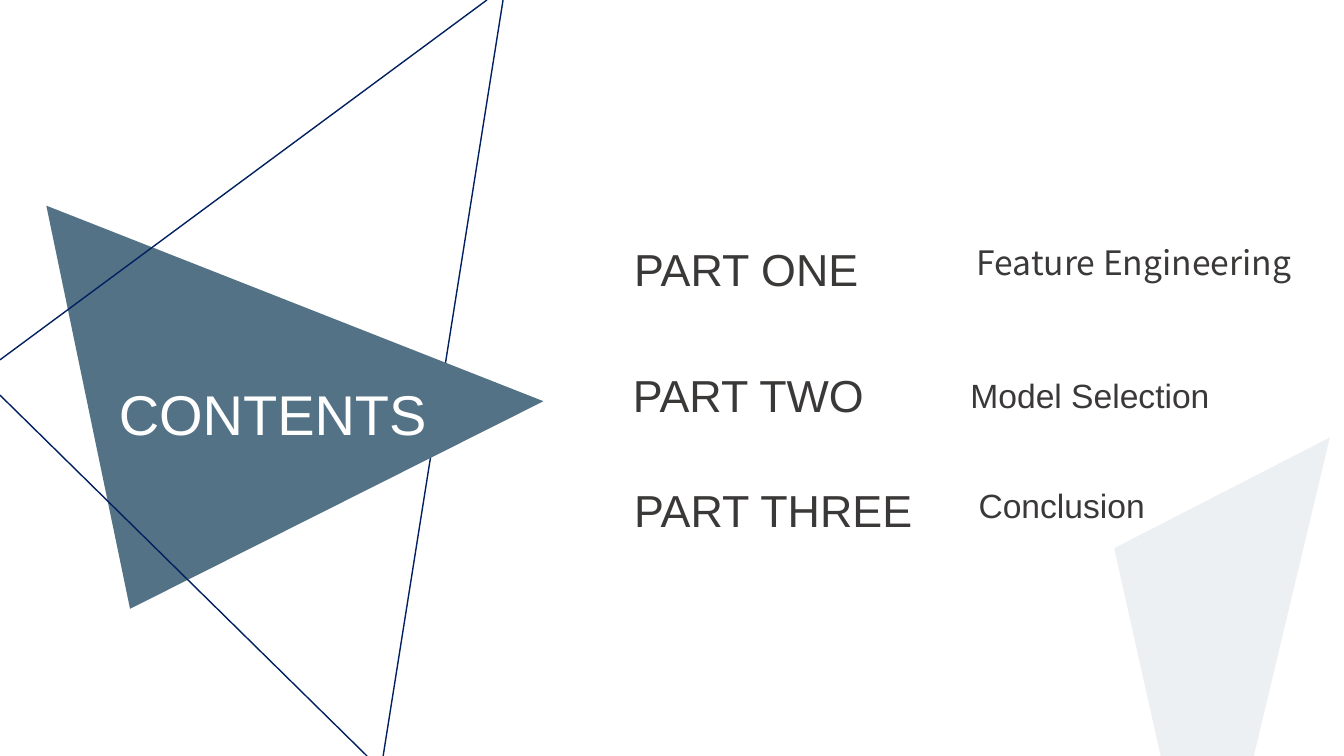
from lxml import etree
from pptx import Presentation, util as u
from pptx.dml.color import RGBColor
from pptx.enum import shapes, text
from pptx.oxml.ns import qn

COLORS = {"navy": "002060", "slate": "537285", "ink": "3B3838", "white": "FFFFFF"}
WIDTH, HEIGHT = u.Inches(13.33), u.Inches(7.5)


class ContentsSlide:
    """Places elements by percentages of the slide's width and height."""

    def __init__(self, slide):
        self.slide = slide

    def point(self, x, y):
        return round(WIDTH * x / 100), round(HEIGHT * y / 100)

    def color(self, name):
        return RGBColor.from_string(COLORS[name])

    def line(self, start, end):
        edge = self.slide.shapes.add_connector(
            shapes.MSO_CONNECTOR.STRAIGHT, *self.point(*start), *self.point(*end))
        edge.line.color.rgb = self.color("navy")
        edge.line.width = u.Pt(1)
        etree.SubElement(edge.element.spPr, qn("a:effectLst"))

    def triangle(self, corners, opacity=100):
        first, *others = [self.point(*corner) for corner in corners]
        outline = self.slide.shapes.build_freeform(*first)
        outline.add_line_segments(others, close=True)
        face = outline.convert_to_shape()
        face.shadow.inherit = False
        face.line.fill.background()
        face.fill.solid()
        face.fill.fore_color.rgb = self.color("slate")
        if opacity < 100:
            tint = face.element.spPr.find(f".//{qn('a:srgbClr')}")
            etree.SubElement(tint, qn("a:alpha"), val=str(opacity * 1000))

    def set_words(self, holder, words, size, color, align, wrap=True, font="Arial"):
        frame = holder.text_frame
        frame.text = words
        frame_format = {"word_wrap": wrap, "vertical_anchor": text.MSO_ANCHOR.TOP,
                        "auto_size": text.MSO_AUTO_SIZE.SHAPE_TO_FIT_TEXT}
        for name, value in frame_format.items():
            setattr(frame, name, value)
        paragraph = frame.paragraphs[0]
        paragraph.alignment = align
        run_font = paragraph.runs[0].font
        for name, value in {"size": u.Pt(size), "name": font}.items():
            setattr(run_font, name, value)
        run_font.color.rgb = self.color(color)

    def title(self, words, x, y, width, height):
        heading = self.slide.shapes.title
        sides = ("left", "top", "width", "height")
        for side, value in zip(sides, self.point(x, y) + self.point(width, height)):
            setattr(heading, side, value)
        self.set_words(heading, words, 40, "white", text.PP_ALIGN.CENTER)
        # Bring the heading in front of the triangle
        heading.element.getparent().append(heading.element)

    def label(self, words, x, y, width, height, **style):
        box = self.slide.shapes.add_textbox(*self.point(x, y), *self.point(width, height))
        self.set_words(box, words, color="ink", **style)


def main():
    deck = Presentation()
    deck.slide_width, deck.slide_height = WIDTH, HEIGHT
    contents = ContentsSlide(deck.slides.add_slide(deck.slide_layouts[5]))

    # Heading on the solid triangle, crossed by the outlined one
    contents.line((37.43, 0), (28.51, 100))
    contents.triangle([(40.44, 53.07), (9.68, 80.53), (3.45, 27.2)])
    contents.title("CONTENTS", 7.2, 49.47, 26.18, 10.27)
    contents.line((0, 47.6), (36.23, 0))
    contents.line((0, 52.27), (27.31, 100))

    # Parts and their topics: words, left, top, width
    part_style = {"size": 32, "align": text.PP_ALIGN.LEFT, "wrap": False}
    topic_style = {"size": 24, "align": text.PP_ALIGN.CENTER}
    agenda = [
        (("PART ONE", 46.44, 31.33, 18.38),
         ("Feature Engineering", 71.27, 31.33, 26.18), "Noto Sans CJK SC"),
        (("PART TWO", 46.36, 48, 18.83),
         ("Model Selection", 71.27, 48.93, 19.65), "Arial"),
        (("PART THREE", 46.44, 63.2, 22.43),
         ("Conclusion", 70.97, 63.47, 16.05), "Arial"),
    ]
    for part, topic, topic_font in agenda:
        contents.label(*part, 8.53, **part_style)
        contents.label(*topic, 6.67, font=topic_font, **topic_style)

    # Pale triangle running off the bottom edge
    contents.triangle([(98.95, 57.87), (82.9, 72.53), (89.72, 126.67)], opacity=10)

    deck.save("out.pptx")


if __name__ == "__main__":
    main()
